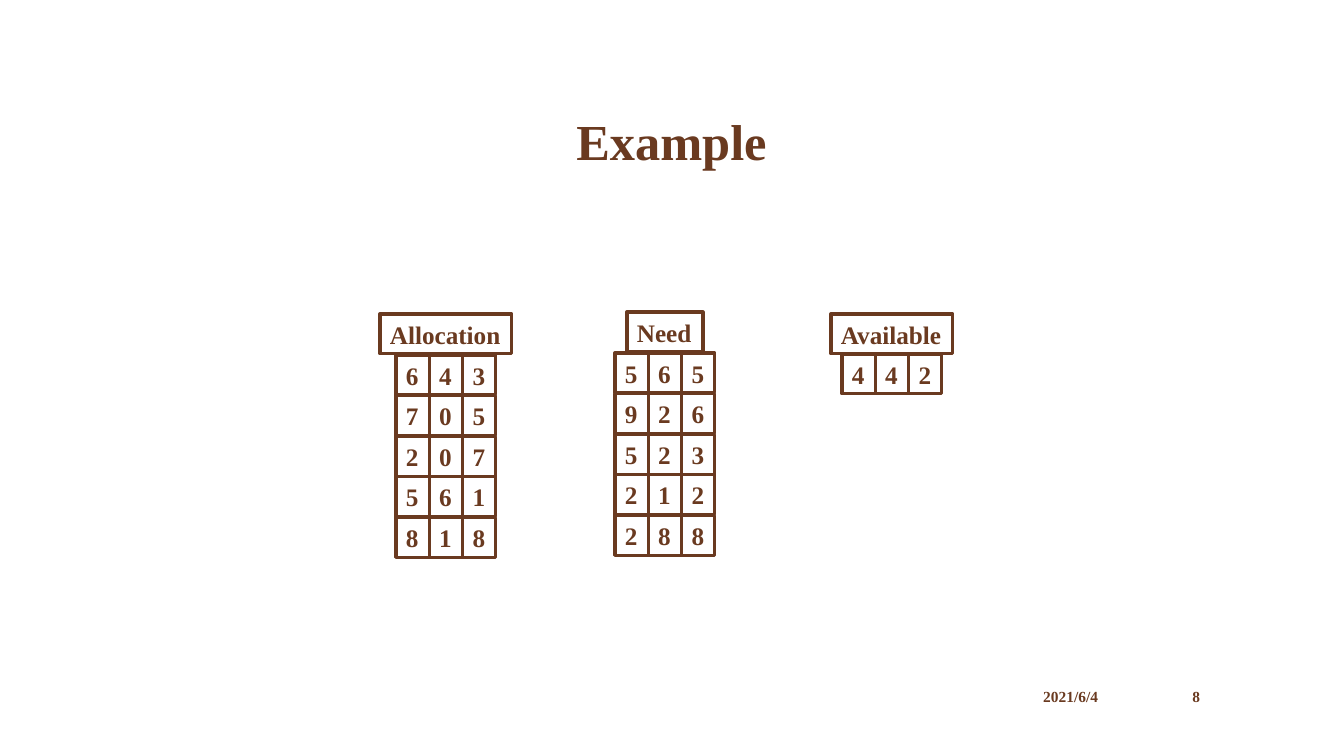
from pptx import Presentation
from pptx.dml.color import RGBColor
from pptx.enum.shapes import MSO_SHAPE as Shape
from pptx.enum.text import MSO_ANCHOR as Anchor, PP_ALIGN as Align
from pptx.util import Pt

# Content: boxes are left, top, width, height in px
TITLE = ("Example", (134, 47, 1075, 129))
FOOTERS = [
    ("2021/6/4", (974, 680, 134, 33)),
    ("8", (1131, 680, 79, 33)),
]
MATRICES = [
    {"name": "Allocation", "header": (380, 314, 132), "grid": (396, 355),
     "rows": ["643", "705", "207", "561", "818"]},
    {"name": "Need", "header": (627, 312, 76), "grid": (615, 353),
     "rows": ["565", "926", "523", "212", "288"]},
    {"name": "Available", "header": (831, 314, 122), "grid": (842, 354),
     "rows": ["442"]},
]

FONT = "Times New Roman"
BROWN, WHITE = "6A3A20", "FFFFFF"
EMU_PER_PX = 914400 / 100.8
BOX_HEIGHT = 40
COLUMN_PITCH = 100 / 3  # three columns across 100 px
ROW_PITCH = 203 / 5  # five rows down 203 px


def px(length):
    return round(length * EMU_PER_PX)


def color(value):
    return RGBColor.from_string(value)


def write(shape, text, size, align, anchor, wrap=True):
    frame = shape.text_frame
    frame.text = text
    frame.word_wrap = wrap
    frame.vertical_anchor = anchor
    paragraph = frame.paragraphs[0]
    paragraph.alignment = align
    font = paragraph.runs[0].font
    font.name, font.size, font.bold = FONT, Pt(size), True
    font.color.rgb = color(BROWN)


def add_box(slide, text, left, top, width):
    shape = slide.shapes.add_shape(
        Shape.RECTANGLE, px(left), px(top), px(width), px(BOX_HEIGHT))
    shape.shadow.inherit = False
    shape.fill.solid()
    shape.fill.fore_color.rgb = color(WHITE)
    shape.line.color.rgb = color(BROWN)
    shape.line.width = Pt(2.25)
    write(shape, text, 18, Align.LEFT, Anchor.MIDDLE, wrap=False)


def main():
    presentation = Presentation()
    presentation.slide_width, presentation.slide_height = px(1344), px(756)
    slide = presentation.slides.add_slide(presentation.slide_layouts[5])

    # Title
    text, box = TITLE
    title = slide.shapes.title
    title.left, title.top, title.width, title.height = map(px, box)
    write(title, text, 36, Align.CENTER, Anchor.BOTTOM)

    # Date and slide number
    for text, box in FOOTERS:
        footer = slide.shapes.add_textbox(*map(px, box))
        write(footer, text, 11, Align.RIGHT, Anchor.MIDDLE)

    # Matrices: digit cells, then the heading above them
    for matrix in MATRICES:
        left, top = matrix["grid"]
        for row, digits in enumerate(matrix["rows"]):
            for column, digit in enumerate(digits):
                add_box(slide, digit, left + column * COLUMN_PITCH,
                        top + row * ROW_PITCH, COLUMN_PITCH)
        add_box(slide, matrix["name"], *matrix["header"])

    presentation.save("out.pptx")


if __name__ == "__main__":
    main()
